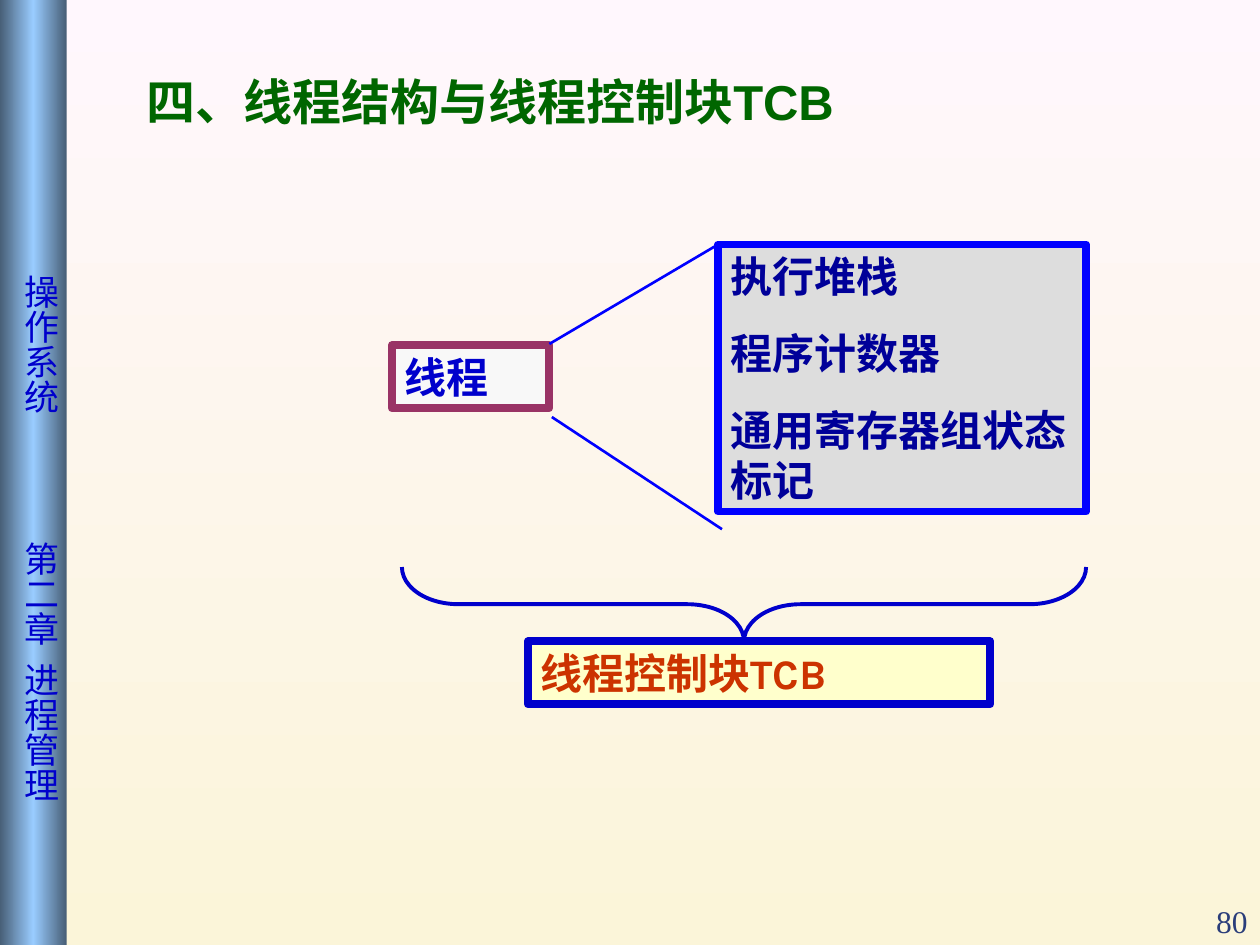
from copy import deepcopy
from dataclasses import dataclass
from typing import NamedTuple

from pptx import Presentation
from pptx.dml.color import RGBColor
from pptx.enum.shapes import MSO_CONNECTOR, MSO_SHAPE
from pptx.enum.text import MSO_ANCHOR, MSO_AUTO_SIZE, PP_ALIGN
from pptx.oxml.ns import qn
from pptx.util import Inches, Pt


@dataclass(frozen=True)
class Theme:
    sky: str = "FFF7FD"
    sand: str = "FBF5D9"
    steel: str = "475E76"
    shine: str = "99CCFF"
    blue: str = "0000CC"
    bright_blue: str = "0000FF"
    navy: str = "000099"
    green: str = "006600"
    red: str = "CC3300"
    plum: str = "993366"
    slate: str = "2A3D7A"
    grey: str = "DDDDDD"
    white: str = "F8F8F8"
    cream: str = "FFFFCC"
    cjk: str = "Noto Sans CJK SC"
    title_size: int = 28
    box_size: int = 24
    sidebar_size: int = 20
    number_size: int = 18
    border: float = 4.5


THEME = Theme()


class Style(NamedTuple):
    color: str
    size: int
    latin: str = THEME.cjk
    bold: bool = True


class Area(NamedTuple):
    left: float
    top: float
    width: float
    height: float

    def lengths(self):
        return [Inches(value) for value in self]


class Box(NamedTuple):
    area: Area
    lines: list
    fill: str
    border: str
    style: Style


class SideLabel(NamedTuple):
    text: str
    top: float
    height: float


class Link(NamedTuple):
    begin: tuple
    end: tuple


TITLE_STYLE = Style(THEME.green, THEME.title_size)
SIDE_STYLE = Style(THEME.blue, THEME.sidebar_size, bold=False)
NUMBER_STYLE = Style(THEME.slate, THEME.number_size, "Times New Roman", False)

CONTENTS = Box(Area(5.7, 1.94, 2.92, 2.12), ["执行堆栈", "程序计数器", "通用寄存器组状态标记"],
               THEME.grey, THEME.bright_blue, Style(THEME.navy, THEME.box_size))
LABELLED_BOXES = [
    Box(Area(4.19, 5.09, 3.67, 0.5), ["线程控制块TCB"], THEME.cream, THEME.blue,
        Style(THEME.red, THEME.box_size, "Karla")),
    Box(Area(3.11, 2.74, 1.25, 0.5), ["线程"], THEME.white, THEME.plum,
        Style(THEME.blue, THEME.box_size, "Karla")),
]
SIDE_LABELS = [SideLabel("操作系统", 2.18, 1.3), SideLabel("第二章", 4.3, 1),
               SideLabel("进程管理", 5.26, 1.3)]
LINKS = [Link((4.36, 2.73), (5.7, 1.94)), Link((4.38, 3.31), (5.73, 4.2))]


def rgb(value: str) -> RGBColor:
    return RGBColor.from_string(value)


def add_run(paragraph, text: str, style: Style) -> None:
    run = paragraph.add_run()
    run.text = text
    formats = {"size": Pt(style.size), "bold": style.bold, "name": style.latin}
    for name, value in formats.items():
        setattr(run.font, name, value)
    run.font.color.rgb = rgb(style.color)
    east_asian = run._r.get_or_add_rPr().makeelement(qn("a:ea"), {"typeface": THEME.cjk})
    run.font._element.find(qn("a:latin")).addnext(east_asian)


def set_frame(frame, anchor=MSO_ANCHOR.TOP, **margins) -> None:
    formats = {"word_wrap": True, "auto_size": MSO_AUTO_SIZE.NONE, "vertical_anchor": anchor,
               **margins}
    for name, value in formats.items():
        setattr(frame, name, value)


def write_lines(frame, lines: list, style: Style, align=PP_ALIGN.LEFT) -> None:
    for index, line in enumerate(lines):
        paragraph = frame.add_paragraph() if index else frame.paragraphs[0]
        paragraph.alignment = align
        paragraph.space_before = Pt(15 if index else 0)
        add_run(paragraph, line, style)


def place(shape, area: Area) -> None:
    for name, value in zip(("left", "top", "width", "height"), area.lengths()):
        setattr(shape, name, value)


def set_line(line, color: str, width: float) -> None:
    line.color.rgb = rgb(color)
    line.width = Pt(width)


def fill_box(shape, box: Box) -> None:
    shape.fill.solid()
    shape.fill.fore_color.rgb = rgb(box.fill)
    set_line(shape.line, box.border, THEME.border)
    set_frame(shape.text_frame)
    write_lines(shape.text_frame, box.lines, box.style)


def set_gradient(fill, first: str, last: str, angle: int) -> None:
    fill.gradient()
    fill.gradient_angle = angle
    for stop, color in zip(fill.gradient_stops, (first, last)):
        stop.color.rgb = rgb(color)


def add_sidebar(slide) -> None:
    bar = slide.shapes.add_shape(MSO_SHAPE.RECTANGLE, *Area(0, 0, 0.53, 7.5).lengths())
    bar.shadow.inherit = False
    bar.line.fill.background()
    set_gradient(bar.fill, THEME.steel, THEME.steel, 0)
    first_stop = bar._element.spPr.find(".//" + qn("a:gs"))
    middle_stop = deepcopy(first_stop)
    middle_stop.set("pos", "50000")
    first_stop.addnext(middle_stop)
    bar.fill.gradient_stops[1].color.rgb = rgb(THEME.shine)
    for label in SIDE_LABELS:
        area = Area(0.07, label.top, 0.5, label.height)
        frame = slide.shapes.add_textbox(*area.lengths()).text_frame
        set_frame(frame, MSO_ANCHOR.MIDDLE, margin_left=0, margin_right=0,
                  margin_top=0, margin_bottom=0)
        frame._txBody.bodyPr.set("vert", "eaVert")
        write_lines(frame, [label.text], SIDE_STYLE)


def add_title(slide) -> None:
    title = slide.shapes.title
    place(title, Area(1.06, 0.52, 6.26, 0.57))
    set_frame(title.text_frame)
    write_lines(title.text_frame, ["四、线程结构与线程控制块"], TITLE_STYLE)
    add_run(title.text_frame.paragraphs[0], "TCB", TITLE_STYLE._replace(latin="Arial"))


def add_contents(slide) -> None:
    body = slide.placeholders[1]
    place(body, CONTENTS.area)
    fill_box(body, CONTENTS)
    for paragraph in body.text_frame.paragraphs:
        properties = paragraph._p.get_or_add_pPr()
        properties.set("marL", "0")
        properties.set("indent", "0")
        properties.append(properties.makeelement(qn("a:buNone"), {}))


def add_brace(slide) -> None:
    brace = slide.shapes.add_shape(MSO_SHAPE.LEFT_BRACE, *Area(5.61, 2.08, 0.59, 5.43).lengths())
    brace.rotation = 270
    brace.adjustments[0] = 0.76
    brace.shadow.inherit = False
    brace.fill.background()
    set_line(brace.line, THEME.blue, 2.25)


def add_link(slide, link: Link) -> None:
    ends = [Inches(value) for value in (*link.begin, *link.end)]
    connector = slide.shapes.add_connector(MSO_CONNECTOR.STRAIGHT, *ends)
    set_line(connector.line, THEME.bright_blue, 1.5)
    properties = connector._element.spPr
    properties.append(properties.makeelement(qn("a:effectLst"), {}))


def main() -> None:
    deck = Presentation()
    deck.slide_width, deck.slide_height = Inches(10), Inches(7.5)
    slide = deck.slides.add_slide(deck.slide_layouts[1])
    set_gradient(slide.background.fill, THEME.sky, THEME.sand, 270)
    add_sidebar(slide)
    add_title(slide)
    add_contents(slide)
    for box in LABELLED_BOXES:
        shape = slide.shapes.add_shape(MSO_SHAPE.RECTANGLE, *box.area.lengths())
        shape.shadow.inherit = False
        fill_box(shape, box)
    add_brace(slide)
    for link in LINKS:
        add_link(slide, link)
    number = slide.shapes.add_textbox(*Area(9, 7.01, 1, 0.5).lengths()).text_frame
    set_frame(number, MSO_ANCHOR.BOTTOM)
    write_lines(number, ["80"], NUMBER_STYLE, PP_ALIGN.RIGHT)
    deck.save("out.pptx")


if __name__ == "__main__":
    main()
